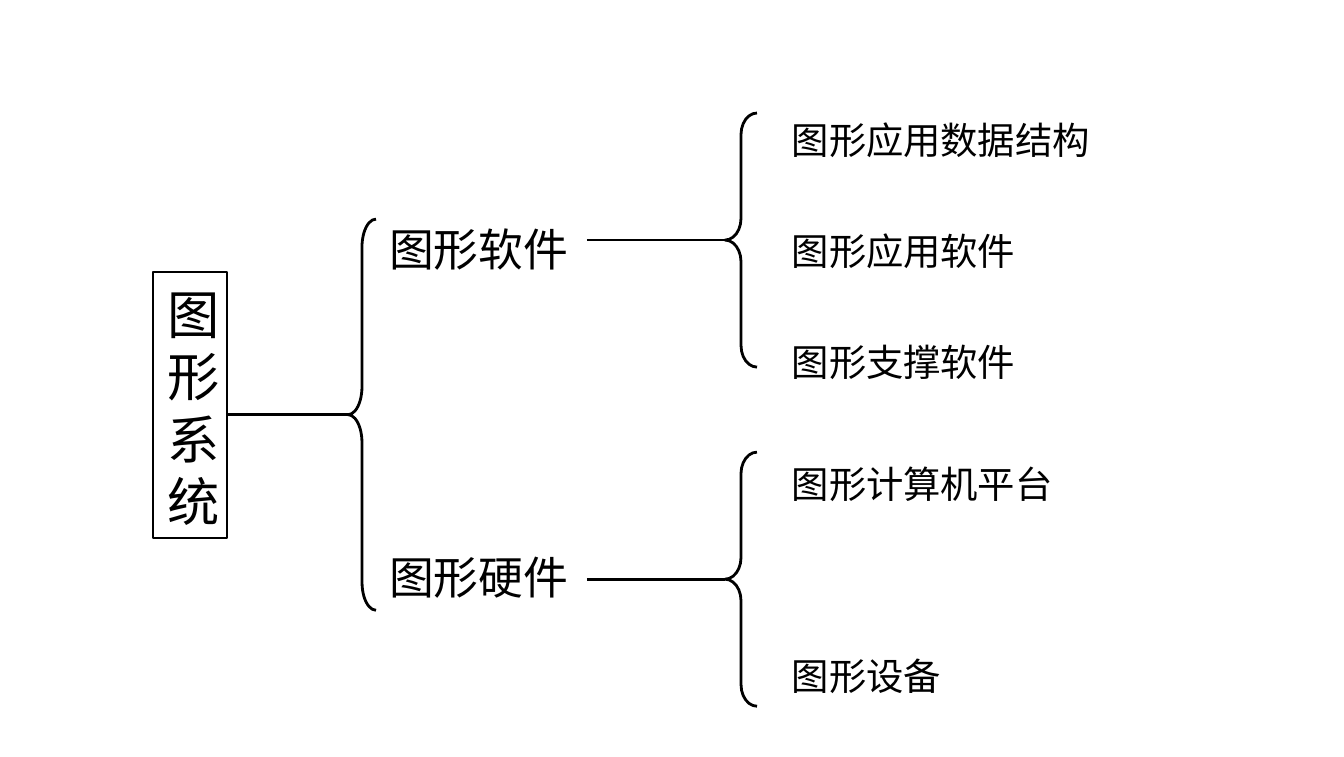
"""Builds a slide with a brace tree of the parts of a graphics system."""
import pptx
import pptx.dml.color
import pptx.enum.shapes
import pptx.enum.text
import pptx.oxml
import pptx.oxml.ns
import pptx.util

EMU_PER_PX = 914400 / 134.4
COLORS = {"ink": "000000", "paper": "FFFFFF"}
FONT = "Noto Sans CJK SC"
LINE_RATIO = 1.19
SHAPES = pptx.enum.shapes.MSO_SHAPE

BRANCHES = [
    ("图形软件", 222, 113,
     [("图形应用数据结构", 117), ("图形应用软件", 228), ("图形支撑软件", 339)]),
    ("图形硬件", 550, 452, [("图形计算机平台", 461), ("图形设备", 653)]),
]


def px(length):
    return pptx.util.Emu(round(length * EMU_PER_PX))


def color(name):
    return pptx.dml.color.RGBColor.from_string(COLORS[name])


def set_line(element, width):
    element.line.color.rgb = color("ink")
    element.line.width = pptx.util.Pt(width)


def write_text(frame, text, size, left=0, top=0, tracking=0):
    frame.word_wrap = True
    frame.vertical_anchor = pptx.enum.text.MSO_ANCHOR.TOP
    frame.margin_left, frame.margin_top = px(left), px(top)
    frame.margin_right = frame.margin_bottom = 0
    paragraph = frame.paragraphs[0]
    paragraph.alignment = pptx.enum.text.PP_ALIGN.LEFT
    paragraph.line_spacing = pptx.util.Pt(round(size * LINE_RATIO, 1))
    run = paragraph.add_run()
    run.text = text
    run.font.size = pptx.util.Pt(size)
    run.font.name = FONT
    run.font.color.rgb = color("ink")
    properties = run.font._element
    east_asian = pptx.oxml.parse_xml(
        f'<a:ea {pptx.oxml.ns.nsdecls("a")} typeface="{FONT}"/>')
    properties.find(pptx.oxml.ns.qn("a:latin")).addnext(east_asian)
    if tracking:
        properties.set("spc", str(tracking))


def add_label(slide, text, left, top, size, tracking=0):
    width = len(text) * size * 2
    label = slide.shapes.add_textbox(px(left), px(top), px(width), px(size * 2.4))
    write_text(label.text_frame, text, size, tracking=tracking)


def add_root(slide, text, left, top, width, height):
    root = slide.shapes.add_shape(
        SHAPES.RECTANGLE, px(left), px(top), px(width), px(height))
    root.shadow.inherit = False
    root.fill.background()
    set_line(root, 0.75)
    write_text(root.text_frame, text, 28, left=14, top=11)


def add_stemmed_brace(slide, stem_left, left, top, width, height, curve):
    brace = slide.shapes.add_shape(
        SHAPES.LEFT_BRACE, px(left), px(top), px(width), px(height))
    brace.shadow.inherit = False
    brace.fill.background()
    brace.adjustments[0] = curve
    set_line(brace, 1.5)
    middle = px(top + height / 2)
    stem = slide.shapes.add_connector(
        pptx.enum.shapes.MSO_CONNECTOR.STRAIGHT,
        px(stem_left), middle, px(left), middle)
    set_line(stem, 1.5)
    stem._element.spPr.append(
        pptx.oxml.parse_xml(f'<a:effectLst {pptx.oxml.ns.nsdecls("a")}/>'))


def main():
    deck = pptx.Presentation()
    deck.slide_width = pptx.util.Inches(10)
    deck.slide_height = pptx.util.Inches(5.63)
    slide = deck.slides.add_slide(deck.slide_layouts[6])
    slide.background.fill.solid()
    slide.background.fill.fore_color.rgb = color("paper")

    add_root(slide, "图 形 系 统", 153, 272, 74, 266)
    add_stemmed_brace(slide, 227, 348, 219, 28, 391, 1)
    for branch, branch_top, brace_top, leaves in BRANCHES:
        add_label(slide, branch, 389, branch_top, 24)
        add_stemmed_brace(slide, 587, 725, brace_top, 32, 254, 0.67)
        for leaf, leaf_top in leaves:
            add_label(slide, leaf, 792, leaf_top, 20, tracking=-10)
    deck.save("out.pptx")


if __name__ == "__main__":
    main()
